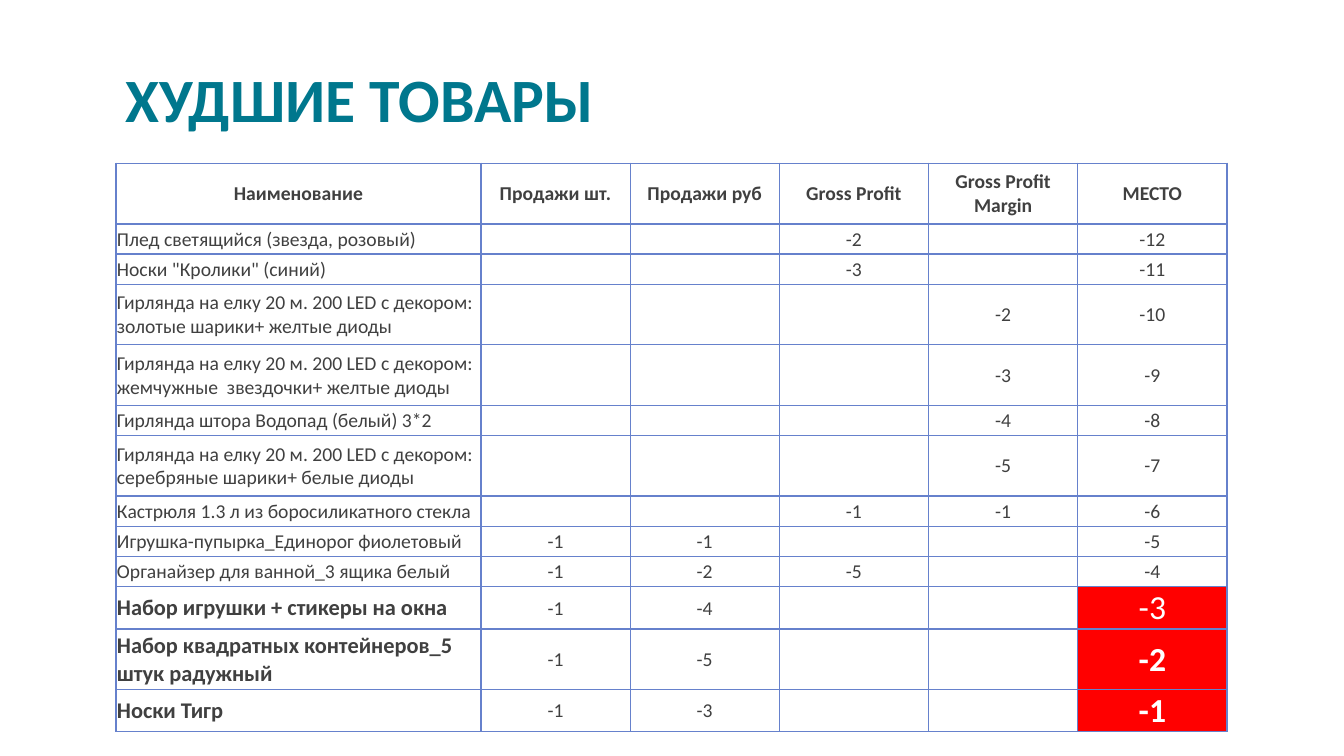
from lxml import etree
from pptx import Presentation
from pptx.dml.color import RGBColor
from pptx.enum.text import MSO_ANCHOR, PP_ALIGN
from pptx.oxml.ns import qn
from pptx.util import Inches, Pt

MIDDLE, BOTTOM = MSO_ANCHOR.MIDDLE, MSO_ANCHOR.BOTTOM
LEFT, CENTER = PP_ALIGN.LEFT, PP_ALIGN.CENTER

TEAL = RGBColor(0x00, 0x77, 0x8D)
GRAY = RGBColor(0x40, 0x40, 0x40)
BLUE = RGBColor(0x66, 0x81, 0xCC)
RED = RGBColor(0xFF, 0x00, 0x00)
WHITE = RGBColor(0xFF, 0xFF, 0xFF)
FONT = "Calibri"

HEADINGS = ("Наименование", "Продажи шт.", "Продажи руб", "Gross Profit",
            "Gross Profit Margin", "МЕСТО")
PRODUCTS = (
    ("Плед светящийся (звезда, розовый)", "", "", "-2", "", "-12"),
    ("Носки \"Кролики\" (синий)", "", "", "-3", "", "-11"),
    ("Гирлянда на елку 20 м. 200 LED с декором: золотые шарики+ желтые диоды",
     "", "", "", "-2", "-10"),
    ("Гирлянда на елку 20 м. 200 LED с декором: жемчужные  звездочки+ желтые диоды",
     "", "", "", "-3", "-9"),
    ("Гирлянда штора Водопад (белый) 3*2", "", "", "", "-4", "-8"),
    ("Гирлянда на елку 20 м. 200 LED с декором: серебряные шарики+ белые диоды",
     "", "", "", "-5", "-7"),
    ("Кастрюля 1.3 л из боросиликатного стекла", "", "", "-1", "-1", "-6"),
    ("Игрушка-пупырка_Единорог фиолетовый", "-1", "-1", "", "", "-5"),
    ("Органайзер для ванной_3 ящика белый", "-1", "-2", "-5", "", "-4"),
    ("Набор игрушки + стикеры на окна", "-1", "-4", "", "", "-3"),
    ("Набор квадратных контейнеров_5 штук радужный", "-1", "-5", "", "", "-2"),
    ("Носки Тигр", "-1", "-3", "", "", "-1"),
)
COLUMN_WIDTHS = (3.62,) + (1.48,) * 5
ROW_HEIGHTS = (0.6, 0.3, 0.3, 0.6, 0.6, 0.3, 0.6, 0.3, 0.3, 0.3, 0.42, 0.6, 0.42)
PLACE_COLUMN = len(HEADINGS) - 1
FIRST_WORST_ROW = len(PRODUCTS) - 2


def add_run(paragraph, text, size, color, bold):
    run = paragraph.add_run()
    run.text = text
    run.font.name = FONT
    run.font.size = Pt(size)
    run.font.bold = bold
    run.font.color.rgb = color


def add_title(slide, text):
    box = slide.shapes.add_textbox(Inches(1.15), Inches(0.6), Inches(11.02), Inches(0.79))
    frame = box.text_frame
    frame.word_wrap = True
    frame.vertical_anchor = BOTTOM
    paragraph = frame.paragraphs[0]
    paragraph.line_spacing = 0.85
    add_run(paragraph, text, 44, TEAL, True)


def set_borders(cell, bottom_width):
    """Put the border lines ahead of the cell's fill, as the schema orders them."""
    properties = cell._tc.get_or_add_tcPr()
    widths = {"a:lnL": 1, "a:lnR": 1, "a:lnT": 1, "a:lnB": bottom_width}
    for position, (side, width) in enumerate(widths.items()):
        line = etree.Element(qn(side), w=str(Pt(width)))
        fill = etree.SubElement(line, qn("a:solidFill"))
        etree.SubElement(fill, qn("a:srgbClr"), val=str(BLUE))
        properties.insert(position, line)


def text_style(row, column):
    """Return size, colour and boldness by place in the table."""
    if row == 0:
        return 14, GRAY, True
    if row >= FIRST_WORST_ROW and column == 0:
        return 16, GRAY, True
    if row >= FIRST_WORST_ROW and column == PLACE_COLUMN:
        return 24, WHITE, row > FIRST_WORST_ROW
    return 14, GRAY, False


def fill_cell(cell, text, row, column):
    cell.margin_left = cell.margin_right = cell.margin_top = Inches(0.01)
    cell.margin_bottom = 0
    cell.vertical_anchor = MIDDLE
    if row >= FIRST_WORST_ROW and column == PLACE_COLUMN:
        cell.fill.solid()
        cell.fill.fore_color.rgb = RED
    else:
        cell.fill.background()
    set_borders(cell, 2 if row == 0 else 1)
    paragraph = cell.text_frame.paragraphs[0]
    paragraph.alignment = LEFT if row and column == 0 else CENTER
    if text:
        add_run(paragraph, text, *text_style(row, column))
    else:
        etree.SubElement(paragraph._p, qn("a:endParaRPr"), sz="1400")


def add_products_table(slide):
    rows = (HEADINGS,) + PRODUCTS
    table = slide.shapes.add_table(
        len(rows), len(HEADINGS), Inches(1.15), Inches(1.62),
        Inches(sum(COLUMN_WIDTHS)), Inches(sum(ROW_HEIGHTS))).table
    table.horz_banding = False
    table.first_row = False
    for column, width in zip(table.columns, COLUMN_WIDTHS):
        column.width = Inches(width)
    for row, height in zip(table.rows, ROW_HEIGHTS):
        row.height = Inches(height)
    for row, values in enumerate(rows):
        for column, text in enumerate(values):
            fill_cell(table.cell(row, column), text, row, column)


def main():
    presentation = Presentation()
    presentation.slide_width = Inches(13.33)
    presentation.slide_height = Inches(7.5)
    slide = presentation.slides.add_slide(presentation.slide_layouts[6])
    add_title(slide, "ХУДШИЕ ТОВАРЫ")
    add_products_table(slide)
    presentation.save("out.pptx")


if __name__ == "__main__":
    main()
